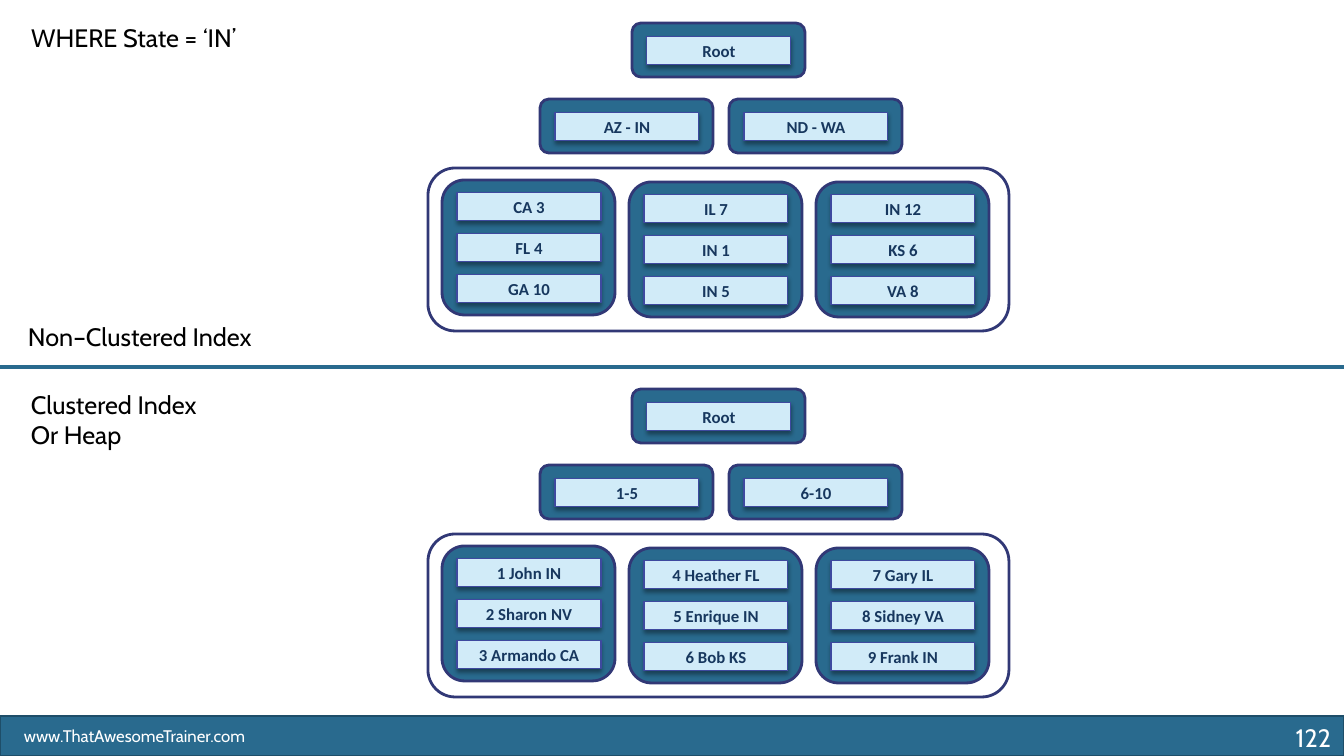
"""Build a slide that compares a non-clustered index tree with a clustered one."""
from lxml import etree
from pptx import Presentation, util as u
from pptx.dml.color import RGBColor
from pptx.enum import shapes, text
from pptx.oxml import ns

SCALE = 914400 / 100.8
TEAL, NAVY, WHITE, BLACK = "296A8E", "313876", "FFFFFF", "000000"
RECT, ROUND = shapes.MSO_SHAPE.RECTANGLE, shapes.MSO_SHAPE.ROUNDED_RECTANGLE
LEFT, CENTER, RIGHT = text.PP_ALIGN.LEFT, text.PP_ALIGN.CENTER, text.PP_ALIGN.RIGHT
NODE_WIDTH, NODE_HEIGHT, LEAF_HEIGHT = 173, 54, 135
ENTRY_WIDTH, ENTRY_HEIGHT, ENTRY_PITCH = 144, 28, 41


def add_box(kind, frame, fill, line, weight):
    box = slide.shapes.add_shape(kind, *[round(n * SCALE) for n in frame])
    box.shadow.inherit = False
    box.fill.solid()
    box.fill.fore_color.rgb = RGBColor.from_string(fill)
    box.line.color.rgb = RGBColor.from_string(line)
    box.line.width = u.Pt(weight)
    return box


def write(box, words, size, font, color, align, bold=False):
    box.text_frame.text = words
    box.text_frame.word_wrap = True
    for para in box.text_frame.paragraphs:
        para.alignment = align
        for span in para.runs:
            span.font.size = u.Pt(size)
            span.font.name = font
            span.font.bold = bold
            span.font.color.rgb = RGBColor.from_string(color)


deck = Presentation()
deck.slide_width, deck.slide_height = round(1344 * SCALE), round(756 * SCALE)
slide = deck.slides.add_slide(deck.slide_layouts[5])

add_box(RECT, (0, 716, 1344, 40), TEAL, "1E4E69", 2)

labels = [
    ("WHERE State = ‘IN’", (21, 17, 273, 40), 18, BLACK, LEFT),
    ("Non–Clustered Index", (18, 316, 276, 40), 18, BLACK, LEFT),
    ("Clustered Index\nOr Heap", (21, 384, 276, 72), 18, BLACK, LEFT),
    ("www.ThatAwesomeTrainer.com", (14, 721, 257, 30), 12, WHITE, LEFT),
    ("122", (1262, 717, 79, 40), 18, WHITE, RIGHT),
]
for number, (words, frame, size, color, align) in enumerate(labels):
    place = [round(n * SCALE) for n in frame]
    if number == 0:
        label = slide.shapes.title
        label.left, label.top, label.width, label.height = place
    else:
        label = slide.shapes.add_textbox(*place)
    write(label, words, size, "Cabin", color, align)
    label.text_frame.vertical_anchor = text.MSO_ANCHOR.TOP
    label.text_frame.auto_size = text.MSO_AUTO_SIZE.SHAPE_TO_FIT_TEXT

divider_y = round(367 * SCALE)
divider = slide.shapes.add_connector(
    shapes.MSO_CONNECTOR.STRAIGHT, 0, divider_y, deck.slide_width, divider_y)
divider.line.color.rgb = RGBColor.from_string(TEAL)
divider.line.width = u.Pt(3)
etree.SubElement(divider._element.spPr, ns.qn("a:effectLst"))

trees = [
    (0, ["AZ - IN", "ND - WA"],
     [["CA 3", "FL 4", "GA 10"], ["IL 7", "IN 1", "IN 5"], ["IN 12", "KS 6", "VA 8"]]),
    (366, ["1-5", "6-10"],
     [["1 John IN", "2 Sharon NV", "3 Armando CA"],
      ["4 Heather FL", "5 Enrique IN", "6 Bob KS"],
      ["7 Gary IL", "8 Sidney VA", "9 Frank IN"]]),
]
for tree_top, branches, leaves in trees:
    add_box(ROUND, (428, tree_top + 168, 581, 163), WHITE, NAVY, 2)
    nodes = [(632, 23, NODE_HEIGHT, 14, ["Root"])]
    for x, branch in zip((540, 729), branches):
        nodes.append((x, 99, NODE_HEIGHT, 14, [branch]))
    for x, y, leaf in zip((442, 629, 816), (180, 182, 182), leaves):
        nodes.append((x, y, LEAF_HEIGHT, 13, leaf))

    for x, y, height, inset, entries in nodes:
        add_box(ROUND, (x, tree_top + y, NODE_WIDTH, height), TEAL, NAVY, 2)
        for row, words in enumerate(entries):
            entry_top = tree_top + y + inset + row * ENTRY_PITCH
            entry = add_box(RECT, (x + 15, entry_top, ENTRY_WIDTH, ENTRY_HEIGHT),
                            "D1EBF8", "3E499F", 0.75)
            write(entry, words, 12, "Calibri", "17375E", CENTER, bold=True)
            frame = entry.text_frame
            frame.margin_left = frame.margin_right = round(7 * SCALE)
            frame.margin_top = frame.margin_bottom = round(4 * SCALE)
            frame.vertical_anchor = text.MSO_ANCHOR.MIDDLE
            effects = entry._element.spPr.find(ns.qn("a:effectLst"))
            shadow = etree.SubElement(effects, ns.qn("a:outerShdw"), blurRad="40000",
                                      dist="20000", dir="5400000", rotWithShape="0")
            tint = etree.SubElement(shadow, ns.qn("a:srgbClr"), val=BLACK)
            etree.SubElement(tint, ns.qn("a:alpha"), val="38000")

deck.save("out.pptx")
